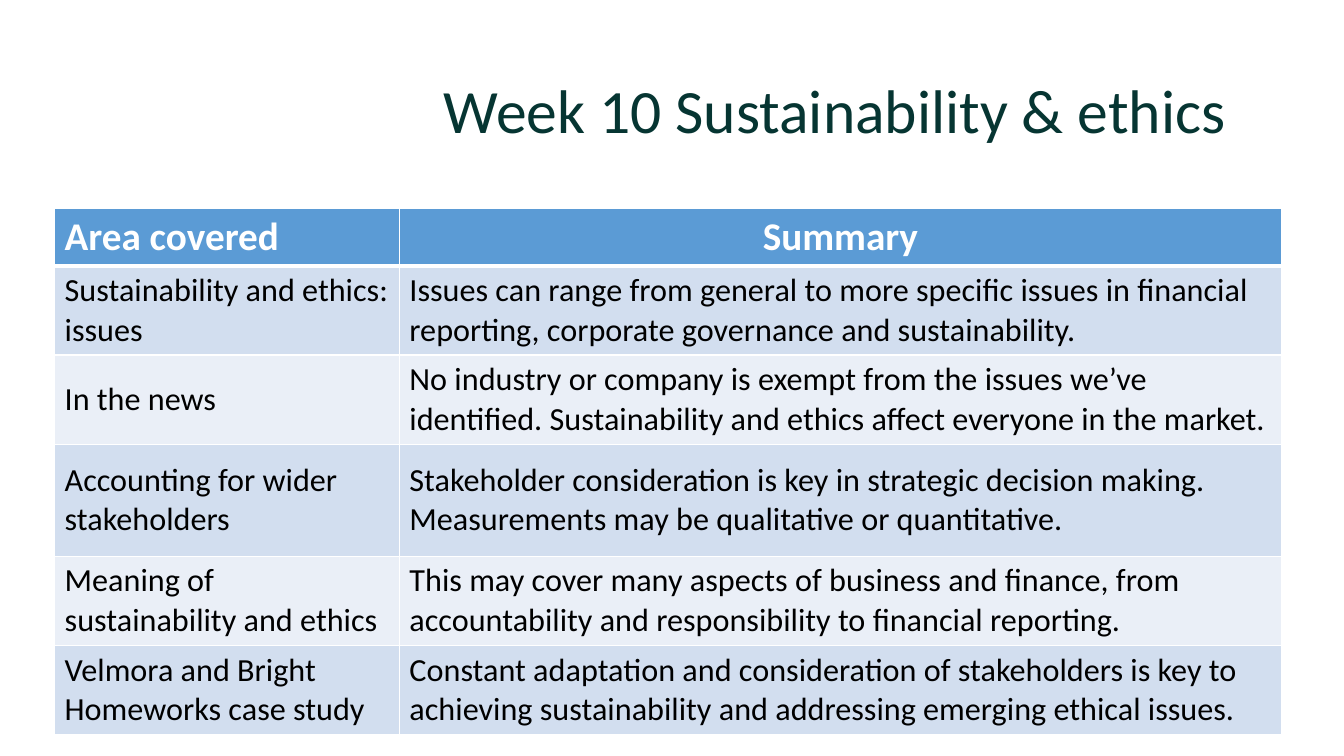
from lxml.etree import SubElement
from pptx import Presentation
from pptx.dml.color import RGBColor
from pptx.enum.text import MSO_ANCHOR, PP_ALIGN
from pptx.oxml.ns import qn
from pptx.util import Pt


def color(value):
    return RGBColor.from_string(value)


def add_border(cell, side, width):
    properties = cell._tc.get_or_add_tcPr()
    line = SubElement(properties, qn(f"a:{side}"), w=str(Pt(width)))
    SubElement(SubElement(line, qn("a:solidFill")), qn("a:srgbClr"), val="FFFFFF")


presentation = Presentation()
presentation.slide_width = Pt(960)
presentation.slide_height = Pt(540)
slide = presentation.slides.add_slide(presentation.slide_layouts[5])

# Title
title = slide.shapes.title
title_box = {"left": 309.6, "top": 28.8, "width": 584.6, "height": 104.4}
for name, value in title_box.items():
    setattr(title, name, Pt(value))
title.text_frame.text = "Week 10 Sustainability & ethics"
title.text_frame.vertical_anchor = MSO_ANCHOR.MIDDLE
title.text_frame.word_wrap = True
paragraph = title.text_frame.paragraphs[0]
paragraph.alignment = PP_ALIGN.LEFT
paragraph.line_spacing = 0.9
title_format = {"name": "Calibri", "size": Pt(44), "bold": False}
for name, value in title_format.items():
    setattr(paragraph.font, name, value)
paragraph.font.color.rgb = color("063532")

# Table content
rows = [
    ("Area covered", "Summary"),
    ("Sustainability and ethics: issues",
     "Issues can range from general to more specific issues in financial "
     "reporting, corporate governance and sustainability."),
    ("In the news",
     "No industry or company is exempt from the issues we’ve identified. "
     "Sustainability and ethics affect everyone in the market."),
    ("Accounting for wider stakeholders",
     "Stakeholder consideration is key in strategic decision making.\n"
     "Measurements may be qualitative or quantitative."),
    ("Meaning of sustainability and ethics",
     "This may cover many aspects of business and finance, from "
     "accountability and responsibility to financial reporting."),
    ("Velmora and Bright Homeworks case study",
     "Constant adaptation and consideration of stakeholders is key to "
     "achieving sustainability and addressing emerging ethical issues."),
]
column_widths = [246.3, 630]
row_heights = [32.4, 56.2, 32.4, 80, 56.2, 56.2]
header_format = {"name": "Calibri", "size": Pt(28), "bold": True}
body_format = {"name": "Calibri", "size": Pt(23), "bold": False}

# Table grid
table_shape = slide.shapes.add_table(
    len(rows), len(column_widths), Pt(39), Pt(148.5), Pt(876.3), Pt(370))
table = table_shape.table
for column, width in zip(table.columns, column_widths):
    column.width = Pt(width)
for row, height in zip(table.rows, row_heights):
    row.height = Pt(height)
table_shape.height = Pt(370)

# Cells: blue header, then alternating bands
for row_index, row_texts in enumerate(rows):
    is_header = row_index == 0
    fill = "5B9BD5" if is_header else ("EAEFF7", "D2DEEF")[row_index % 2]
    font_format = header_format if is_header else body_format
    borders = {"lnL": 1, "lnR": 1,
               "lnT": 3 if row_index == 1 else 1,
               "lnB": 3 if is_header else 1}
    for column_index, text in enumerate(row_texts):
        cell = table.cell(row_index, column_index)
        for side, width in borders.items():
            add_border(cell, side, width)
        cell.fill.solid()
        cell.fill.fore_color.rgb = color(fill)
        cell.vertical_anchor = MSO_ANCHOR.MIDDLE
        cell.text_frame.text = text
        centered = is_header and column_index == 1
        for paragraph in cell.text_frame.paragraphs:
            paragraph.alignment = PP_ALIGN.CENTER if centered else PP_ALIGN.LEFT
            for name, value in font_format.items():
                setattr(paragraph.font, name, value)
            paragraph.font.color.rgb = color("FFFFFF" if is_header else "000000")

presentation.save("out.pptx")
